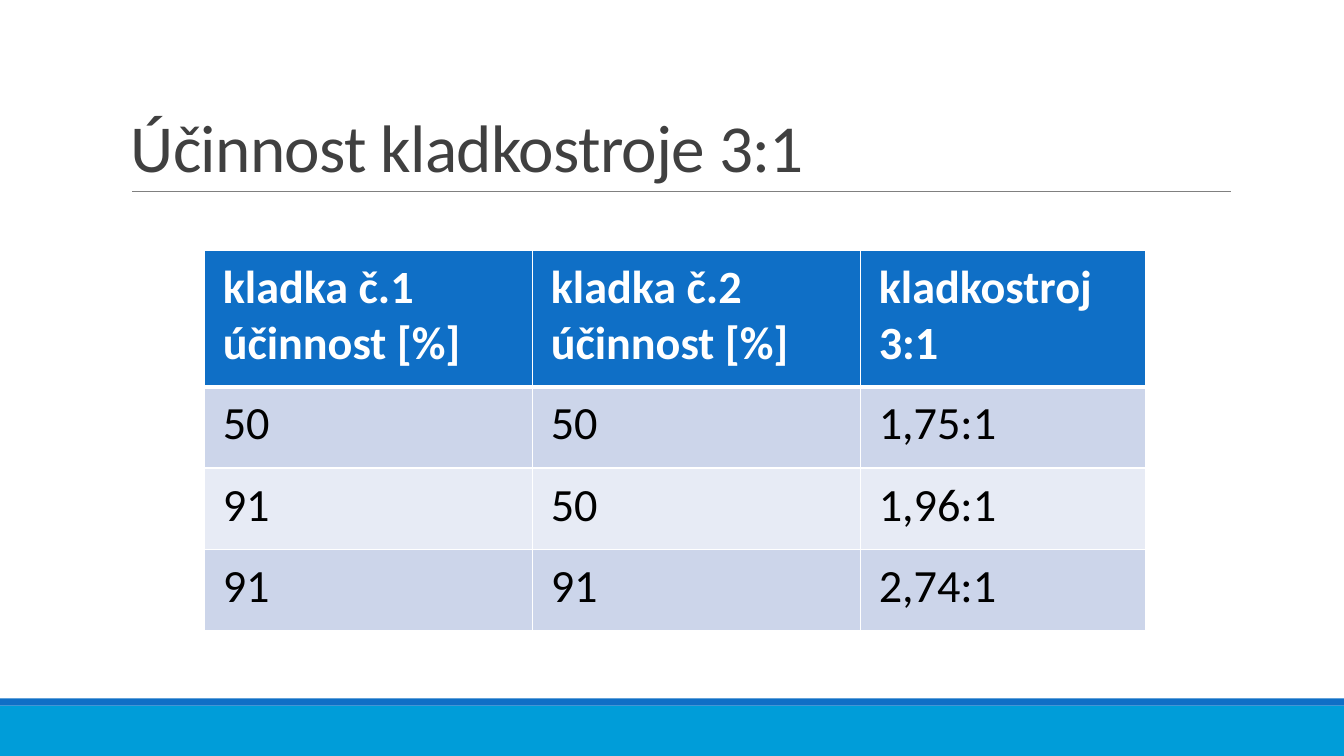
import pptx
import pptx.dml.color
import pptx.enum.shapes
import pptx.enum.text
import pptx.oxml
import pptx.oxml.ns
import pptx.util
from pptx.dml.color import RGBColor
from pptx.util import Inches

WHITE = RGBColor(0xFF, 0xFF, 0xFF)
BLACK = RGBColor(0x00, 0x00, 0x00)
TITLE_GRAY = RGBColor(0x40, 0x40, 0x40)
RULE_GRAY = RGBColor(0x80, 0x80, 0x80)
BLUE = RGBColor(0x0F, 0x6F, 0xC6)
CYAN = RGBColor(0x00, 0x9D, 0xD9)
BAND_DARK = RGBColor(0xCC, 0xD5, 0xEA)
BAND_LIGHT = RGBColor(0xE7, 0xEB, 0xF5)

SLIDE_WIDTH, SLIDE_HEIGHT = 13.33, 7.5
COLUMN_WIDTHS = (3.25, 3.25, 2.82)
ROW_HEIGHTS = (1.36, 0.81, 0.81, 0.81)
EFFICIENCIES = (
    ("kladka č.1\núčinnost [%]", "kladka č.2\núčinnost [%]", "kladkostroj\n3:1"),
    ("50", "50", "1,75:1"),
    ("91", "50", "1,96:1"),
    ("91", "91", "2,74:1"),
)


def write_text(frame, text, *, size, color, bold=False, line_spacing=None, tracking=None):
    """Fill the first paragraph; a newline in the text becomes a line break."""
    paragraph = frame.paragraphs[0]
    paragraph.text = text
    paragraph.line_spacing = line_spacing
    for run in paragraph.runs:
        run.font.name = "Calibri"
        run.font.size = pptx.util.Pt(size)
        run.font.bold = bold
        run.font.color.rgb = color
        if tracking is not None:
            run.font._element.set("spc", str(round(tracking * 100)))


def add_bar(slide, left, top, width, height, color):
    bar = slide.shapes.add_shape(
        pptx.enum.shapes.MSO_SHAPE.RECTANGLE,
        Inches(left), Inches(top), Inches(width), Inches(height))
    bar.shadow.inherit = False
    bar.fill.solid()
    bar.fill.fore_color.rgb = color
    bar.line.fill.background()


def add_footer(slide, left, top, width, height, stripe=0.07):
    add_bar(slide, left, top + stripe, width, height - stripe, CYAN)
    add_bar(slide, left, top, width, stripe, BLUE)


def add_title(slide, left, top, width, height):
    """Place the title at the bottom of its box, with a rule beneath."""
    bottom = top + height
    rule = slide.shapes.add_connector(
        pptx.enum.shapes.MSO_CONNECTOR.STRAIGHT,
        Inches(left + 0.11), Inches(bottom), Inches(left + width + 0.01), Inches(bottom))
    rule.line.color.rgb = RULE_GRAY
    rule.line.width = pptx.util.Pt(0.5)
    pptx.oxml.ns.qn("a:effectLst")
    rule._element.spPr.append(pptx.oxml.parse_xml(
        f'<a:effectLst {pptx.oxml.ns.nsdecls("a")}/>'))

    title = slide.shapes.add_textbox(
        Inches(left), Inches(top), Inches(width), Inches(height))
    title.text_frame.word_wrap = True
    title.text_frame.vertical_anchor = pptx.enum.text.MSO_ANCHOR.BOTTOM
    write_text(title.text_frame, "Účinnost kladkostroje 3:1",
               size=48, color=TITLE_GRAY, line_spacing=0.85, tracking=-0.5)


def set_borders(cell, **widths):
    """Draw white borders, given in points by side: L, R, T, B."""
    properties = cell._tc.get_or_add_tcPr()
    for position, (side, width) in enumerate(widths.items()):
        properties.insert(position, pptx.oxml.parse_xml(
            f'<a:ln{side} {pptx.oxml.ns.nsdecls("a")} w="{pptx.util.Pt(width)}">'
            f'<a:solidFill><a:srgbClr val="{WHITE}"/></a:solidFill></a:ln{side}>'))


def add_efficiency_table(slide, left, top, width, height):
    table = slide.shapes.add_table(
        len(EFFICIENCIES), len(COLUMN_WIDTHS),
        Inches(left), Inches(top), Inches(width), Inches(height)).table
    for column, share in zip(table.columns, COLUMN_WIDTHS):
        column.width = Inches(width * share / sum(COLUMN_WIDTHS))
    for row, share in zip(table.rows, ROW_HEIGHTS):
        row.height = Inches(height * share / sum(ROW_HEIGHTS))

    for row_index, values in enumerate(EFFICIENCIES):
        header = row_index == 0
        band = BAND_DARK if row_index % 2 else BAND_LIGHT
        for column_index, value in enumerate(values):
            cell = table.cell(row_index, column_index)
            cell.margin_left = cell.margin_right = Inches(0.18)
            cell.margin_top = cell.margin_bottom = Inches(0.09)
            cell.fill.solid()
            cell.fill.fore_color.rgb = BLUE if header else band
            set_borders(cell, L=1, R=1, T=3 if row_index == 1 else 1, B=3 if header else 1)
            write_text(cell.text_frame, value, size=33,
                       color=WHITE if header else BLACK, bold=header)


def main():
    presentation = pptx.Presentation()
    presentation.slide_width = Inches(SLIDE_WIDTH)
    presentation.slide_height = Inches(SLIDE_HEIGHT)
    slide = presentation.slides.add_slide(presentation.slide_layouts[6])
    add_footer(slide, 0, 6.93, SLIDE_WIDTH, 0.57)
    add_title(slide, 1.2, 0.31, 11, 1.59)
    add_efficiency_table(slide, 2.03, 2.48, 9.33, 3.78)
    presentation.save("out.pptx")


if __name__ == "__main__":
    main()
